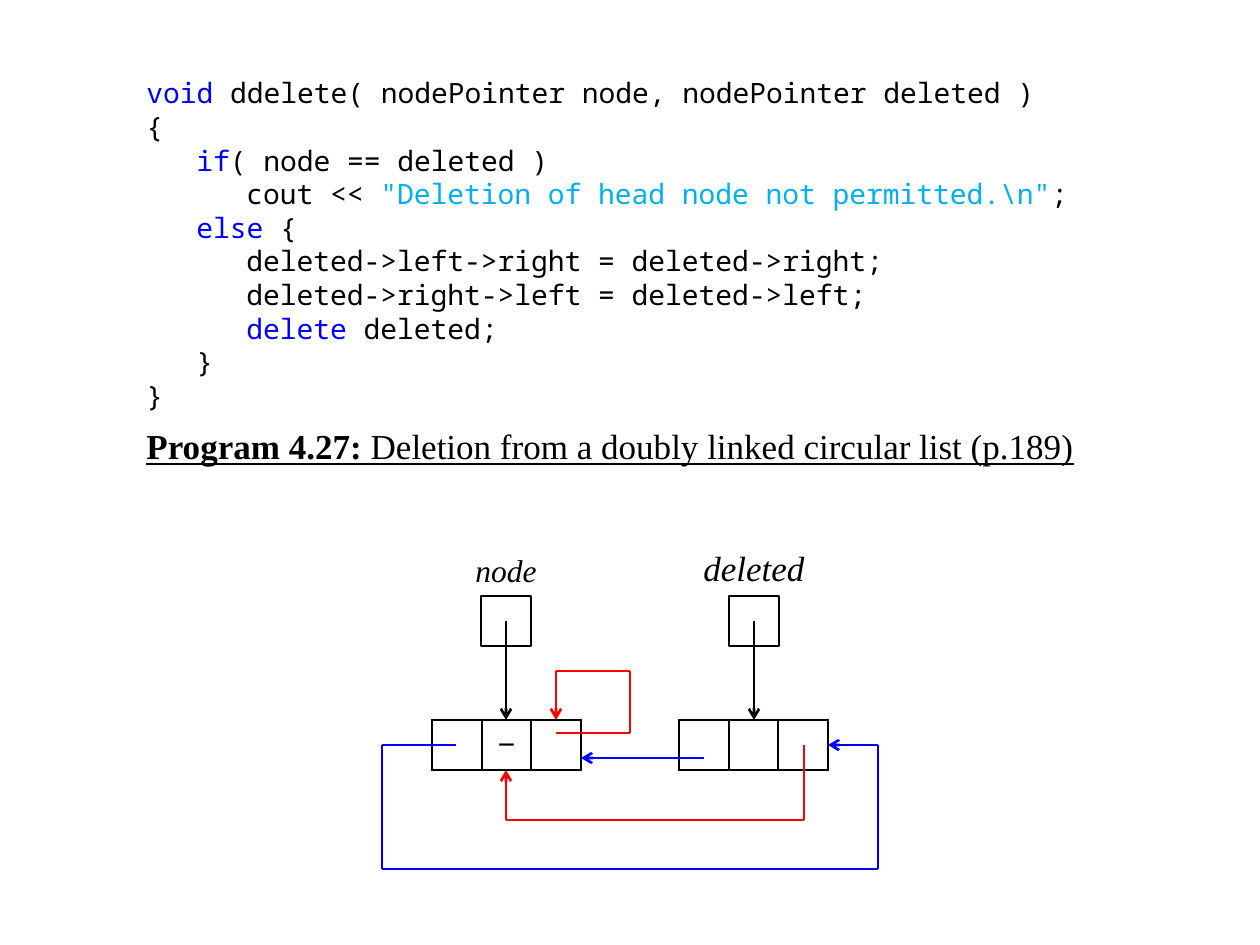
"""Builds the slide on deletion from a doubly linked circular list."""
from dataclasses import dataclass
from itertools import pairwise

from lxml import etree
from pptx import Presentation
from pptx import util as u
from pptx.dml.color import RGBColor
from pptx.enum import shapes, text
from pptx.oxml import ns

SCALE = 914400 / 126
CELL = 50
INDENT = 50


@dataclass(frozen=True)
class Theme:
    black: str = "000000"
    keyword: str = "0000FF"
    literal: str = "00B0F0"
    left_link: str = "0000FF"
    right_link: str = "FF0000"
    serif: str = "Times New Roman"
    mono: str = "Noto Sans Mono"
    code_size: int = 16
    label_size: int = 18
    caption_size: int = 20
    stroke: float = 1.5


THEME = Theme()

CODE = [
    (0, [("void ", THEME.keyword),
         ("ddelete( nodePointer node, nodePointer deleted )", THEME.black)]),
    (0, [("{", THEME.black)]),
    (1, [("if", THEME.keyword), ("( node == deleted )", THEME.black)]),
    (2, [("cout << ", THEME.black),
         ('"Deletion of head node not permitted.\\n"', THEME.literal),
         (";", THEME.black)]),
    (1, [("else", THEME.keyword), (" {", THEME.black)]),
    (2, [("deleted->left->right = deleted->right;", THEME.black)]),
    (2, [("deleted->right->left = deleted->left;", THEME.black)]),
    (2, [("delete ", THEME.keyword), ("deleted;", THEME.black)]),
    (1, [("}", THEME.black)]),
    (0, [("}", THEME.black)]),
]


def px(length):
    return u.Emu(round(length * SCALE))


def add_run(paragraph, words, size, face=THEME.serif, color=THEME.black,
            bold=False, italic=False, underline=False):
    run = paragraph.add_run()
    run.text = words
    font = run.font
    font.name, font.size = face, u.Pt(size)
    font.bold, font.italic, font.underline = bold, italic, underline
    font.color.rgb = RGBColor.from_string(color)


def add_frame(slide, left, top, width, height, wrap=True, inset=0,
              anchor=text.MSO_ANCHOR.TOP):
    frame = slide.shapes.add_textbox(*map(px, (left, top, width, height))).text_frame
    frame.word_wrap = wrap
    frame.vertical_anchor = anchor
    frame.margin_top = frame.margin_bottom = px(inset)
    return frame


def add_code(slide):
    listing = add_frame(slide, 134, 76, 992, 348)
    for number, (level, pieces) in enumerate(CODE):
        statement = listing.add_paragraph() if number else listing.paragraphs[0]
        properties = statement._p.get_or_add_pPr()
        properties.set("marL", str(px(level * INDENT)))
        properties.set("indent", "0")
        for words, color in pieces:
            add_run(statement, words, THEME.code_size, THEME.mono, color)


def add_caption(slide):
    caption = add_frame(slide, 134, 423, 992, 50, inset=6,
                        anchor=text.MSO_ANCHOR.BOTTOM).paragraphs[0]
    add_run(caption, "Program 4.27:", THEME.caption_size, bold=True, underline=True)
    add_run(caption, " Deletion from a doubly linked circular list (p.189)",
            THEME.caption_size, underline=True)


def add_route(slide, color, points, arrow=True):
    """Draws straight segments through the points, with an arrow at the end."""
    for start, end in pairwise(points):
        link = slide.shapes.add_connector(
            shapes.MSO_CONNECTOR.STRAIGHT, *map(px, (*start, *end)))
        link.line.color.rgb = RGBColor.from_string(color)
        link.line.width = u.Pt(THEME.stroke)
        if arrow and end == points[-1]:
            etree.SubElement(link.line._get_or_add_ln(), ns.qn("a:tailEnd"), type="arrow")
        etree.SubElement(link._element.spPr, ns.qn("a:effectLst"))


def add_border(cell):
    properties = cell._tc.get_or_add_tcPr()
    for place, side in enumerate(("lnL", "lnR", "lnT", "lnB")):
        edge = etree.Element(ns.qn(f"a:{side}"), w=str(u.Pt(THEME.stroke)))
        fill = etree.SubElement(edge, ns.qn("a:solidFill"))
        etree.SubElement(fill, ns.qn("a:srgbClr"), val=THEME.black)
        properties.insert(place, edge)


def add_list_node(slide, left, top, middle=""):
    fields = slide.shapes.add_table(
        1, 3, *map(px, (left, top, 3 * CELL - 1, CELL))).table
    fields.first_row = fields.horz_banding = False
    for column in fields.columns:
        column.width = px(CELL - 1 / 3)
    for cell in fields.iter_cells():
        cell.fill.background()
        cell.margin_top = cell.margin_bottom = 0
        cell.vertical_anchor = text.MSO_ANCHOR.MIDDLE
        add_border(cell)
    if middle:
        data = fields.cell(0, 1).text_frame.paragraphs[0]
        data.alignment = text.PP_ALIGN.CENTER
        add_run(data, middle, THEME.label_size, bold=True)


def add_pointer(slide, center, name, size, width, anchor, inset):
    """Draws a named pointer box with its arrow down to a list node."""
    box = slide.shapes.add_shape(shapes.MSO_SHAPE.RECTANGLE,
                                 *map(px, (center - CELL / 2, 596, CELL, CELL)))
    box.shadow.inherit = False
    box.fill.background()
    box.line.color.rgb = RGBColor.from_string(THEME.black)
    box.line.width = u.Pt(THEME.stroke)
    add_route(slide, THEME.black, [(center, 621), (center, 720)])
    frame = add_frame(slide, center - width / 2, 547, width, CELL,
                      wrap=False, anchor=anchor)
    frame.margin_bottom = px(inset)
    label = frame.paragraphs[0]
    label.alignment = text.PP_ALIGN.CENTER
    add_run(label, name, size, italic=True)


def main():
    deck = Presentation()
    deck.slide_width, deck.slide_height = px(1260), px(945)
    slide = deck.slides.add_slide(deck.slide_layouts[6])
    add_caption(slide)
    add_code(slide)

    add_list_node(slide, 679, 720)
    add_list_node(slide, 432, 720, "\u2212")
    add_route(slide, THEME.right_link, [(804, 745), (804, 820), (506, 820), (506, 770)])
    add_route(slide, THEME.right_link,
              [(556, 733), (630, 733), (630, 671), (556, 671), (556, 720)])
    add_route(slide, THEME.left_link, [(704, 758), (581, 758)])
    add_route(slide, THEME.left_link,
              [(456, 745), (382, 745), (382, 869), (878, 869), (878, 745), (828, 745)])

    add_pointer(slide, 506, "node", THEME.label_size, 99, text.MSO_ANCHOR.MIDDLE, 5)
    add_pointer(slide, 754, "deleted", THEME.caption_size, 149, text.MSO_ANCHOR.TOP, 0)
    deck.save("out.pptx")


main()
